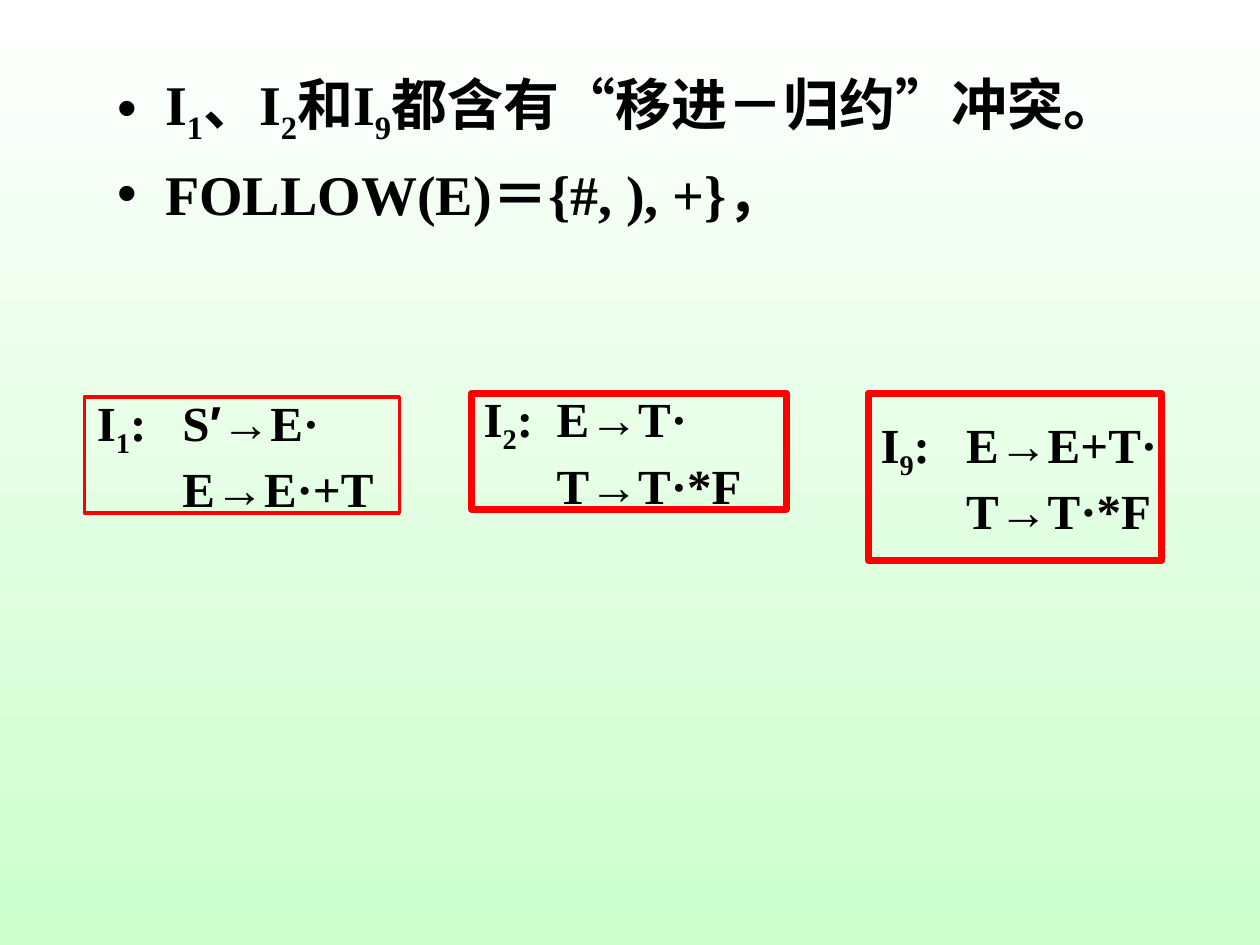
from lxml.etree import SubElement
from pptx import Presentation
from pptx.dml.color import RGBColor
from pptx.enum.shapes import MSO_SHAPE
from pptx.enum.text import MSO_ANCHOR, MSO_AUTO_SIZE, PP_ALIGN
from pptx.oxml.ns import qn
from pptx.util import Inches, Pt

# Content: runs are (text, style), style is "" or "sub" or "arial"
BULLETS = [
    [("I", ""), ("1", "sub"), ("、I", ""), ("2", "sub"), ("和I", ""),
     ("9", "sub"), ("都含有“移进－归约”冲突。", "")],
    [("FOLLOW(E)＝{#, ), +}，", "")],
]
# Item sets: left, top, width, height, line width, tab stop, lines
ITEM_SETS = [
    (3.74, 3.12, 2.5, 0.92, 4, 0.58,
     [[("I", ""), ("2", "sub"), (":\tE→T·", "")], [("\tT→T·*F", "")]]),
    (0.67, 3.15, 2.5, 0.92, 2, 0.68,
     [[("I", ""), ("1", "sub"), (":\tS", ""), ("′", "arial"), ("→E·", "")],
      [("\tE→E·+T", "")]]),
    (6.89, 3.12, 2.33, 1.33, 4, 0.68,
     [[("I", ""), ("9", "sub"), (":\tE→E+T·", "")], [("\tT→T·*F", "")]]),
]
FONT, BLACK, RED = "Times New Roman", "000000", "FF0000"


def color(value):
    return RGBColor.from_string(value)


def add_runs(p, runs, size):
    for text, style in runs:
        r = p.add_run()
        r.text = text
        r.font.name = "Arial" if style == "arial" else FONT
        r.font.size = Pt(size)
        r.font.bold = True
        r.font.color.rgb = color(BLACK)
        if style == "sub":
            r.font._element.set("baseline", "-25000")


def paragraphs(tf, count):
    return [tf.paragraphs[0]] + [tf.add_paragraph() for _ in range(count - 1)]


def add_bullet(p, hang):
    pPr = p._p.get_or_add_pPr()
    pPr.set("marL", str(Inches(hang)))
    pPr.set("indent", str(-Inches(hang)))
    SubElement(SubElement(pPr, qn("a:buClr")), qn("a:srgbClr"), val=BLACK)
    SubElement(pPr, qn("a:buChar"), char="•")


def add_tab(p, pos):
    tabs = SubElement(p._p.get_or_add_pPr(), qn("a:tabLst"))
    SubElement(tabs, qn("a:tab"), pos=str(Inches(pos)), algn="l")


prs = Presentation()
prs.slide_width, prs.slide_height = Inches(10), Inches(7.5)
s = prs.slides.add_slide(prs.slide_layouts[1])
title = s.shapes.title._element
title.getparent().remove(title)

# Background: white at the top to pale green
fill = s.background.fill
fill.gradient()
fill.gradient_angle = 270
for stop, value, position in zip(fill.gradient_stops, ("FFFFFF", "CCFFCC"), (0, 1)):
    stop.color.rgb = color(value)
    stop.position = position

# Bullet list
body = s.placeholders[1]
body.left, body.top, body.width, body.height = map(Inches, (0.83, 0.5, 8.5, 1.42))
tf = body.text_frame
tf.auto_size = MSO_AUTO_SIZE.NONE
for i, (p, runs) in enumerate(zip(paragraphs(tf, len(BULLETS)), BULLETS)):
    add_bullet(p, 0.38)
    p.space_before = Pt(8 if i else 0)
    add_runs(p, runs, 32)

# Item set boxes
for left, top, width, height, weight, tab, lines in ITEM_SETS:
    sp = s.shapes.add_shape(MSO_SHAPE.RECTANGLE, *map(Inches, (left, top, width, height)))
    sp.shadow.inherit = False
    sp.fill.background()
    sp.line.color.rgb = color(RED)
    sp.line.width = Pt(weight)
    tf = sp.text_frame
    tf.word_wrap = True
    tf.vertical_anchor = MSO_ANCHOR.MIDDLE
    tf.margin_right = 0
    for p, runs in zip(paragraphs(tf, len(lines)), lines):
        add_tab(p, tab)
        p.alignment = PP_ALIGN.LEFT
        add_runs(p, runs, 28)

prs.save("out.pptx")
